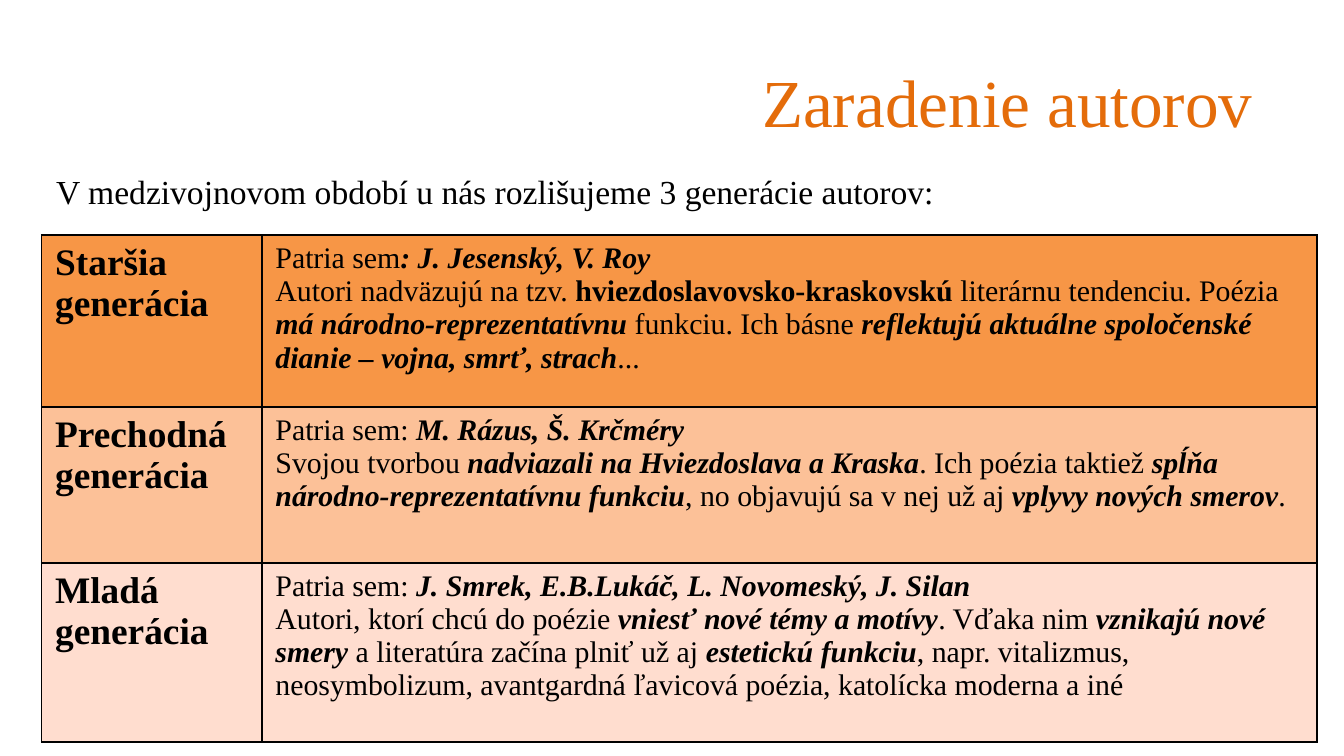
from lxml import etree
from pptx import Presentation
from pptx.dml.color import RGBColor
from pptx.enum import text
from pptx.oxml import ns
from pptx.util import Inches, Pt

# Content: each span is (wording, style), where style holds "b" and/or "i"
TITLE = "Zaradenie autorov"
INTRO = "V medzivojnovom období u nás rozlišujeme 3 generácie autorov:"
GENERATIONS = [
    ("Staršia generácia", "older", 1.28, [
        [("Patria sem", ""), (": J. Jesenský, V. Roy", "bi")],
        [("Autori nadväzujú na tzv. ", ""),
         ("hviezdoslavovsko-kraskovskú", "b"),
         (" literárnu tendenciu. Poézia ", ""),
         ("má národno-reprezentatívnu ", "bi"),
         ("funkciu. Ich básne ", ""),
         ("reflektujú aktuálne spoločenské dianie – vojna, smrť, strach", "bi"),
         ("...", "")],
    ]),
    ("Prechodná generácia", "transitional", 1.16, [
        [("Patria sem: ", ""), ("M. Rázus, Š. Krčméry", "bi")],
        [("Svojou tvorbou ", ""),
         ("nadviazali na Hviezdoslava a Kraska", "bi"),
         (". Ich poézia taktiež ", ""),
         ("spĺňa národno-reprezentatívnu funkciu", "bi"),
         (", no objavujú sa v nej už aj ", ""),
         ("vplyvy nových smerov", "bi"),
         (".", "")],
    ]),
    ("Mladá generácia", "young", 1.33, [
        [("Patria sem: ", ""),
         ("J. Smrek, E.B.Lukáč, L. Novomeský, J. Silan", "bi")],
        [("Autori, ktorí chcú do poézie ", ""),
         ("vniesť nové témy a motívy", "bi"),
         (". Vďaka nim ", ""),
         ("vznikajú nové smery ", "bi"),
         ("a literatúra začína plniť už aj ", ""),
         ("estetickú funkciu", "bi"),
         (", napr. vitalizmus, neosymbolizum, avantgardná ľavicová poézia, "
          "katolícka moderna a iné", "")],
    ]),
]

# Look
FONT = "Times New Roman"
COLORS = {"title": "E46C0A", "text": "000000", "border": "000000",
          "older": "F79646", "transitional": "FCC198", "young": "FFDDCF"}
COLUMNS = [1.64, 7.85]


def write(frame, paragraphs, size, color="text", align=None):
    for index, spans in enumerate(paragraphs):
        para = frame.paragraphs[0] if index == 0 else frame.add_paragraph()
        para.alignment = align
        for wording, style in spans:
            span = para.add_run()
            span.text = wording
            formats = {"name": FONT, "size": Pt(size),
                       "bold": "b" in style, "italic": "i" in style}
            for name, value in formats.items():
                setattr(span.font, name, value)
            span.font.color.rgb = RGBColor.from_string(COLORS[color])


def add_text(page, place, wording, size, color, align, anchor):
    box = page.shapes.add_textbox(*map(Inches, place))
    box.text_frame.word_wrap = True
    box.text_frame.vertical_anchor = anchor
    write(box.text_frame, [[(wording, "")]], size, color, align)


def style_cell(cell, fill):
    properties = cell._tc.get_or_add_tcPr()
    for side in ("lnL", "lnR", "lnT", "lnB"):
        line = etree.SubElement(properties, ns.qn(f"a:{side}"), w=str(Pt(1)))
        solid = etree.SubElement(line, ns.qn("a:solidFill"))
        etree.SubElement(solid, ns.qn("a:srgbClr"), val=COLORS["border"])
    cell.fill.solid()
    cell.fill.fore_color.rgb = RGBColor.from_string(COLORS[fill])


# Widescreen deck, 16:9
deck = Presentation()
deck.slide_width = Inches(10)
deck.slide_height = deck.slide_width * 9 // 16
page = deck.slides.add_slide(deck.slide_layouts[6])

# Title
add_text(page, (0.57, 0.33, 8.85, 0.84), TITLE, 36, "title",
         text.PP_ALIGN.RIGHT, text.MSO_ANCHOR.MIDDLE)

# Table of generations
heights = [height for _, _, height, _ in GENERATIONS]
table = page.shapes.add_table(
    len(GENERATIONS), len(COLUMNS), Inches(0.31), Inches(1.75),
    Inches(sum(COLUMNS)), Inches(sum(heights))).table
for column, width in zip(table.columns, COLUMNS):
    column.width = Inches(width)
for row, (name, fill, height, description) in zip(table.rows, GENERATIONS):
    row.height = Inches(height)
    contents = [([[(name, "b")]], 20), (description, 16)]
    for cell, (paragraphs, size) in zip(row.cells, contents):
        style_cell(cell, fill)
        write(cell.text_frame, paragraphs, size)

# Introductory sentence
add_text(page, (0.32, 1.22, 7.9, 0.4), INTRO, 18, "text",
         text.PP_ALIGN.LEFT, text.MSO_ANCHOR.TOP)

deck.save("out.pptx")
